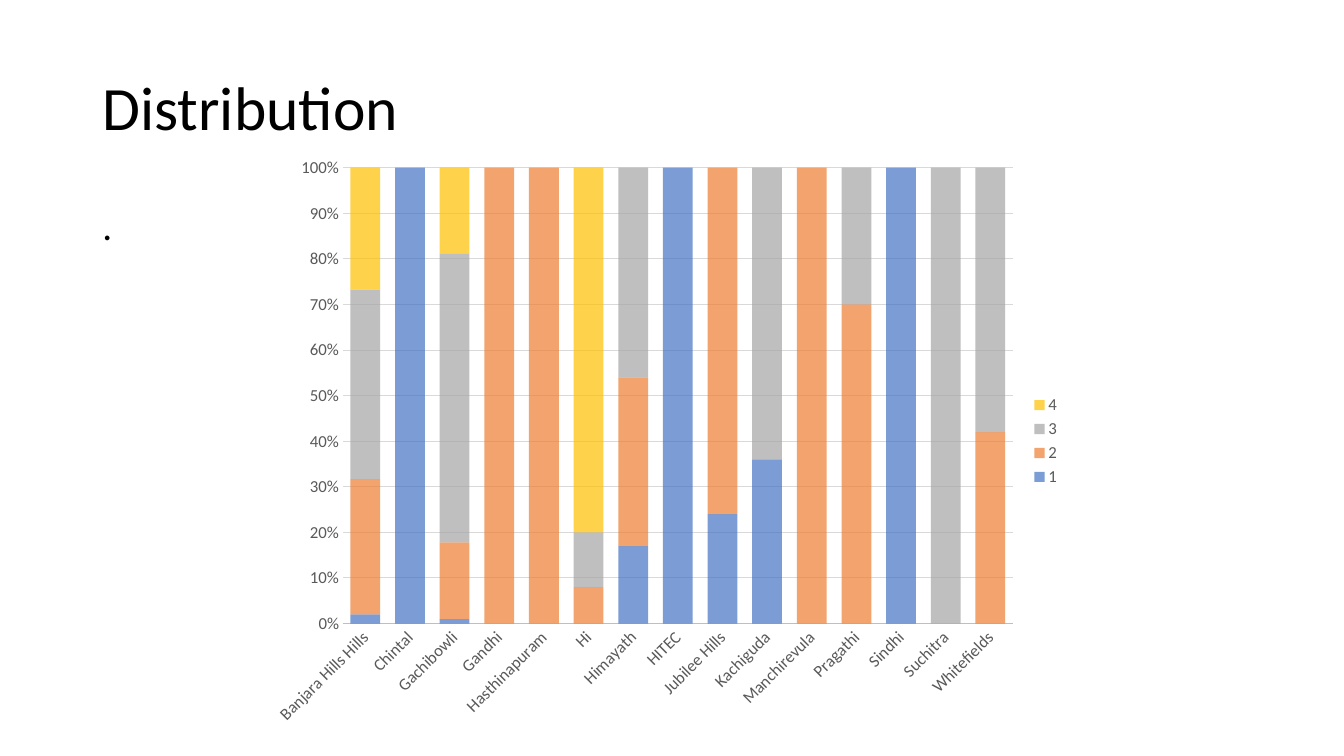
import pptx
import pptx.util
import pptx.chart.data
import pptx.dml.color
import pptx.enum.chart
import pptx.enum.text
import pptx.oxml
import pptx.oxml.ns

RGBColor = pptx.dml.color.RGBColor
PX = 9525  # EMU per px, 96 px to the inch
FONT = "Calibri"
BLACK = RGBColor(0x00, 0x00, 0x00)
TEXT_GREY = RGBColor(0x59, 0x59, 0x59)
AXIS_GREY = RGBColor(0xBF, 0xBF, 0xBF)
GRID_GREY = RGBColor(0xD9, 0xD9, 0xD9)
BLUE = RGBColor(0x44, 0x72, 0xC4)
ORANGE = RGBColor(0xED, 0x7D, 0x31)
GREY = RGBColor(0xA5, 0xA5, 0xA5)
YELLOW = RGBColor(0xFF, 0xC0, 0x00)

AREAS = ["Banjara Hills Hills", "Chintal", "Gachibowli", "Gandhi", "Hasthinapuram",
         "Hi", "Himayath", "HITEC", "Jubilee Hills", "Kachiguda", "Manchirevula",
         "Pragathi", "Sindhi", "Suchitra", "Whitefields"]
# Series name, colour, share by area
SERIES = [
    ("1", BLUE, {"Banjara Hills Hills": 2, "Chintal": 100, "Gachibowli": 1,
                 "Himayath": 17, "HITEC": 100, "Jubilee Hills": 24,
                 "Kachiguda": 36, "Sindhi": 100}),
    ("2", ORANGE, {"Banjara Hills Hills": 30, "Gachibowli": 17, "Gandhi": 100,
                   "Hasthinapuram": 100, "Hi": 8, "Himayath": 37,
                   "Jubilee Hills": 76, "Manchirevula": 100, "Pragathi": 70,
                   "Whitefields": 42}),
    ("3", GREY, {"Banjara Hills Hills": 42, "Gachibowli": 64, "Hi": 12,
                 "Himayath": 46, "Kachiguda": 64, "Pragathi": 30,
                 "Suchitra": 100, "Whitefields": 58}),
    ("4", YELLOW, {"Banjara Hills Hills": 27, "Gachibowli": 19, "Hi": 80}),
]


def box(x, y, w, h):
    return [pptx.util.Emu(v * PX) for v in (x, y, w, h)]


def format_font(font, size, color):
    font.name = FONT
    font.size = pptx.util.Pt(size)
    font.color.rgb = color


def write_text(sp, text, *, at, size, color=BLACK, anchor, space_before=0):
    sp.left, sp.top, sp.width, sp.height = box(*at)
    tf = sp.text_frame
    tf.word_wrap = True
    tf.vertical_anchor = anchor
    p = tf.paragraphs[0]
    p.alignment = pptx.enum.text.PP_ALIGN.LEFT
    p.line_spacing = 0.9
    p.space_before = pptx.util.Pt(space_before)
    # Plain paragraph: no bullet, no indent
    pPr = p._p.get_or_add_pPr()
    pPr.set("marL", "0")
    pPr.set("indent", "0")
    pptx.oxml.ns.qn("a:buNone")
    pPr.append(pptx.oxml.parse_xml(
        f'<a:buNone {pptx.oxml.ns.nsdecls("a")}/>'))
    r = p.add_run()
    r.text = text
    format_font(r.font, size, color)


def fill_translucent(fill, color, percent):
    fill.solid()
    fill.fore_color.rgb = color
    srgb = fill._xPr.find(".//" + pptx.oxml.ns.qn("a:srgbClr"))
    srgb.append(pptx.oxml.parse_xml(
        f'<a:alpha {pptx.oxml.ns.nsdecls("a")} val="{percent * 1000}"/>'))


def format_axis(axis):
    axis.major_tick_mark = pptx.enum.chart.XL_TICK_MARK.NONE
    axis.minor_tick_mark = pptx.enum.chart.XL_TICK_MARK.NONE
    format_font(axis.tick_labels.font, 12, TEXT_GREY)


def draw_line(line, color):
    line.color.rgb = color
    line.width = pptx.util.Pt(0.75)


def add_share_chart(slide, at):
    data = pptx.chart.data.CategoryChartData()
    data.categories = AREAS
    for name, _, shares in SERIES:
        data.add_series(name, [shares.get(area) for area in AREAS])
    chart = slide.shapes.add_chart(
        pptx.enum.chart.XL_CHART_TYPE.COLUMN_STACKED_100, *box(*at), data).chart
    chart.has_title = False
    format_font(chart.font, 10, BLACK)

    # Columns
    plot = chart.plots[0]
    plot.gap_width = 50
    plot.overlap = 100
    plot.vary_by_categories = False
    for series, (_, color, _) in zip(plot.series, SERIES):
        fill_translucent(series.format.fill, color, 70)

    # Axes
    areas, shares = chart.category_axis, chart.value_axis
    format_axis(areas)
    format_axis(shares)
    areas._element.txPr.bodyPr.set("rot", "-2700000")
    draw_line(areas.format.line, AXIS_GREY)
    shares.format.line.fill.background()
    shares.has_major_gridlines = True
    draw_line(shares.major_gridlines.format.line, GRID_GREY)
    shares.tick_labels.number_format = "0%"
    shares.tick_labels.number_format_is_linked = False

    # Legend
    chart.has_legend = True
    chart.legend.position = pptx.enum.chart.XL_LEGEND_POSITION.RIGHT
    chart.legend.include_in_layout = False
    format_font(chart.legend.font, 12, TEXT_GREY)


def main():
    prs = pptx.Presentation()
    prs.slide_width, prs.slide_height = box(0, 0, 1280, 720)[2:]
    slide = prs.slides.add_slide(prs.slide_layouts[1])
    anchors = pptx.enum.text.MSO_ANCHOR

    # Title and body
    write_text(slide.shapes.title, "Distribution", at=(88, 36, 1104, 139),
               size=44, anchor=anchors.MIDDLE)
    write_text(slide.placeholders[1], ".", at=(88, 192, 1104, 457),
               size=28, anchor=anchors.TOP)

    # Chart
    add_share_chart(slide, (247, 139, 773, 562))
    prs.save("out.pptx")


if __name__ == "__main__":
    main()
